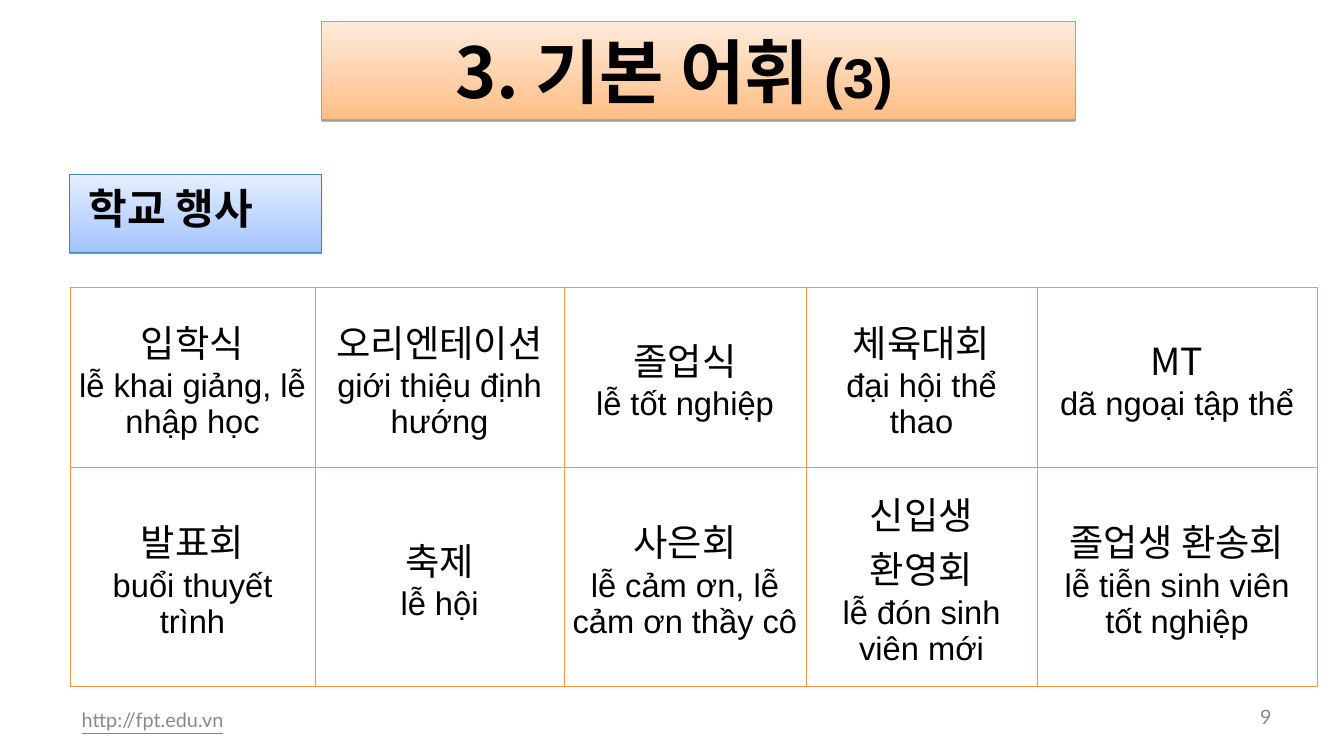
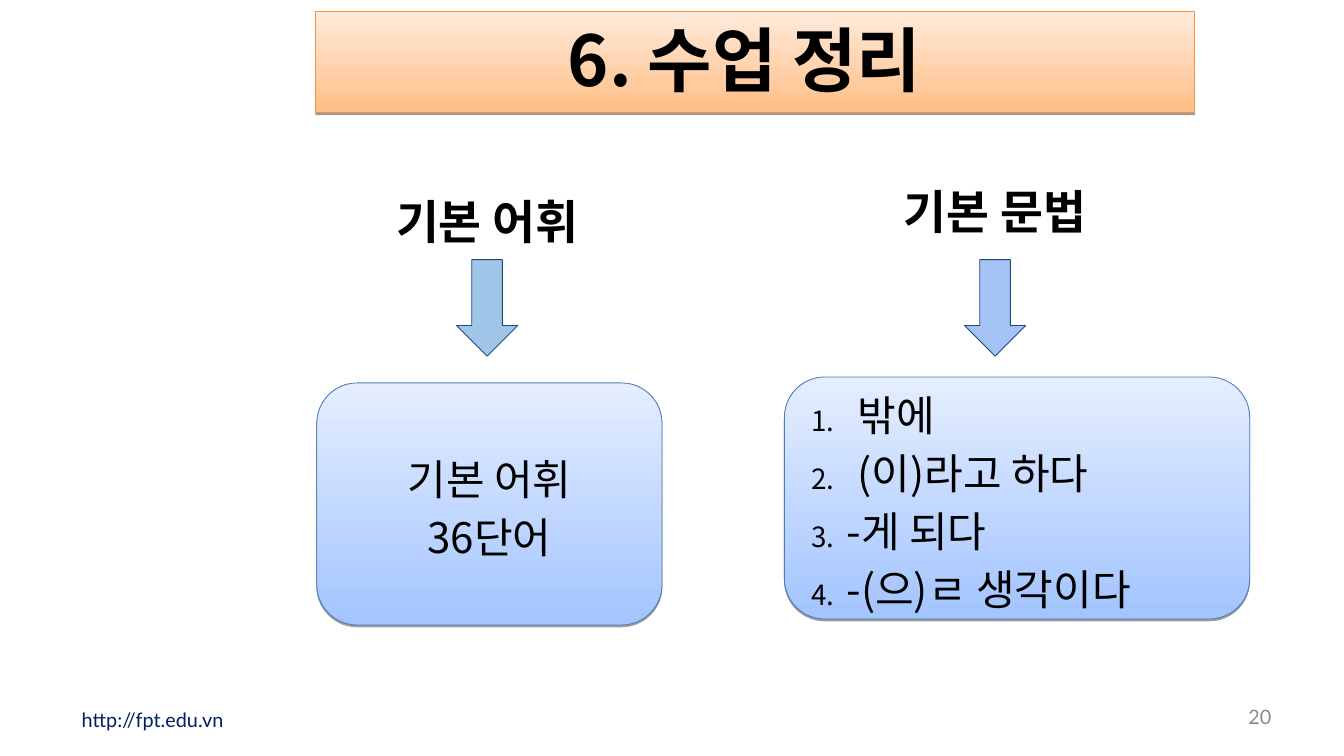
from typing import NamedTuple

from lxml import etree
from pptx import Presentation
from pptx.dml.color import RGBColor
from pptx.enum.shapes import MSO_SHAPE
from pptx.enum.text import MSO_ANCHOR, MSO_AUTO_SIZE, PP_ALIGN
from pptx.oxml import parse_xml
from pptx.oxml.ns import nsdecls, qn
from pptx.util import Cm, Pt

RECT, ROUND_RECT = MSO_SHAPE.RECTANGLE, MSO_SHAPE.ROUNDED_RECTANGLE
DOWN_ARROW = MSO_SHAPE.DOWN_ARROW
TOP, MIDDLE = MSO_ANCHOR.TOP, MSO_ANCHOR.MIDDLE
LEFT, CENTER, RIGHT = PP_ALIGN.LEFT, PP_ALIGN.CENTER, PP_ALIGN.RIGHT

KOREAN, VIETNAMESE, FOOTER_FONT = "Noto Sans CJK KR", "Arial", "Lato"
COLORS = {
    "text": "000000", "muted": "898989", "navy": "002060",
    "orange_deep": "FFBE86", "orange_pale": "FFEBDB", "orange_line": "F69240",
    "blue_deep": "A3C4FF", "blue_pale": "E5EEFF", "blue_line": "4A7EBB",
    "grid": "F79646", "arrow_line": "1F497D",
    "arrow_sky": "9FC5E8", "arrow_blue": "A4C2F4",
}
INSET = 0.25
TITLE_ONLY = 5
BORDER_TAGS = ("a:lnL", "a:lnR", "a:lnT", "a:lnB")

SCHOOL_EVENTS = [
    [("입학식", "lễ khai giảng, lễ nhập học"),
     ("오리엔테이션", "giới thiệu định hướng"),
     ("졸업식", "lễ tốt nghiệp"),
     ("체육대회", "đại hội thể thao"),
     ("MT", "dã ngoại tập thể")],
    [("발표회", "buổi thuyết trình"),
     ("축제", "lễ hội"),
     ("사은회", "lễ cảm ơn, lễ cảm ơn thầy cô"),
     ("신입생 환영회", "lễ đón sinh viên mới"),
     ("졸업생 환송회", "lễ tiễn sinh viên tốt nghiệp")],
]
EVENT_COLUMNS = (7.42, 7.52, 7.32, 6.99, 8.46)
EVENT_ROWS = (5.44, 6.63)

# Each grammar item comes with the extra gap after its number.
GRAMMAR = [("밖에", 0.33), ("(이)라고 하다", 0.33), ("-게 되다", 0), ("-(으)ㄹ 생각이다", 0)]


class Box(NamedTuple):
    """Position and size in centimetres."""
    left: float
    top: float
    width: float
    height: float

    def lengths(self):
        return [Cm(value) for value in self]


def rgb(color):
    return RGBColor.from_string(COLORS[color])


def write(paragraph, text, size, font=KOREAN, color="text", bold=False, align=CENTER):
    paragraph.alignment = align
    paragraph.add_run().text = text
    paragraph.font.size = Pt(size)
    paragraph.font.bold = bold
    paragraph.font.color.rgb = rgb(color)
    paragraph.font.name = font
    defaults = paragraph._p.get_or_add_pPr().find(qn("a:defRPr"))
    etree.SubElement(defaults, qn("a:ea"), typeface=font)


def next_paragraph(frame, index):
    return frame.add_paragraph() if index else frame.paragraphs[0]


def set_frame(frame, anchor, horizontal=INSET, vertical=INSET):
    frame.word_wrap = True
    frame.auto_size = MSO_AUTO_SIZE.NONE
    frame.vertical_anchor = anchor
    frame.margin_left = frame.margin_right = Cm(horizontal)
    frame.margin_top = frame.margin_bottom = Cm(vertical)
    return frame


def add_text_box(slide, box, anchor=TOP, horizontal=INSET, vertical=INSET):
    frame = slide.shapes.add_textbox(*box.lengths()).text_frame
    return set_frame(frame, anchor, horizontal, vertical)


def style_panel(panel, hue):
    """Vertical gradient, thin outline and a hard shadow below."""
    panel.fill.gradient()
    panel.fill.gradient_angle = 90
    for stop, shade in zip(panel.fill.gradient_stops, ("deep", "pale")):
        stop.color.rgb = rgb(f"{hue}_{shade}")
    panel.line.color.rgb = rgb(f"{hue}_line")
    panel.line.width = Pt(0.75)
    panel.shadow.inherit = False
    effects = panel._element.spPr.find(qn("a:effectLst"))
    effects.append(parse_xml(
        f'<a:outerShdw {nsdecls("a")} blurRad="0" dist="{Pt(1.6)}" dir="5400000" '
        'algn="ctr" rotWithShape="0"><a:srgbClr val="000000">'
        '<a:alpha val="38000"/></a:srgbClr></a:outerShdw>'))


def add_blue_panel(slide, box, outline, anchor):
    panel = slide.shapes.add_shape(outline, *box.lengths())
    style_panel(panel, "blue")
    return set_frame(panel.text_frame, anchor)


def add_lesson_slide(deck, title, title_box, anchor, right_inset, number, link_color):
    """Title-only slide with the orange title band and the footer."""
    slide = deck.slides.add_slide(deck.slide_layouts[TITLE_ONLY])
    band = slide.shapes.title
    band.left, band.top, band.width, band.height = title_box.lengths()
    style_panel(band, "orange")
    frame = set_frame(band.text_frame, anchor, vertical=0.13)
    frame.margin_right = Cm(right_inset)
    write(frame.paragraphs[0], title, 60, bold=True)

    link = add_text_box(slide, Box(2.11, 21.16, 12.88, 1.22), MIDDLE, 0.36, 0.18)
    write(link.paragraphs[0], "http://fpt.edu.vn", 17, FOOTER_FONT, link_color, align=LEFT)
    page = add_text_box(slide, Box(36.83, 21.16, 1.98, 1.04), MIDDLE, 0.36, 0.18)
    write(page.paragraphs[0], number, 17, FOOTER_FONT, "muted", align=RIGHT)
    return slide


def draw_borders(cell):
    properties = cell._tc.get_or_add_tcPr()
    for index, tag in enumerate(BORDER_TAGS):
        properties.insert(index, parse_xml(
            f'<{tag} {nsdecls("a")} w="{Pt(0.45)}"><a:solidFill>'
            f'<a:srgbClr val="{COLORS["grid"]}"/></a:solidFill></{tag}>'))


def add_event_table(slide, left, top):
    box = Box(left, top, sum(EVENT_COLUMNS), sum(EVENT_ROWS))
    table = slide.shapes.add_table(
        len(EVENT_ROWS), len(EVENT_COLUMNS), *box.lengths()).table
    table.first_row = table.horz_banding = False
    for column, width in zip(table.columns, EVENT_COLUMNS):
        column.width = Cm(width)
    for row, height, events in zip(table.rows, EVENT_ROWS, SCHOOL_EVENTS):
        row.height = Cm(height)
        for cell, (event, meaning) in zip(row.cells, events):
            cell.fill.background()
            cell.vertical_anchor = MIDDLE
            draw_borders(cell)
            write(cell.text_frame.paragraphs[0], event, 32)
            write(cell.text_frame.add_paragraph(), meaning, 28, VIETNAMESE)


def add_summary_column(slide, region, axis, heading, arrow_drop, arrow_color):
    """Heading, arrow and panel from top to bottom; returns the panel's text frame.

    axis is the distance of the centre line from the region's left edge.
    """
    center = region.left + axis
    heading_width, arrow_width, panel_height = 8.4, 1.85, 7.32
    heading_box = Box(center - heading_width / 2, region.top, heading_width, 2.08)
    topic = add_text_box(slide, heading_box).paragraphs[0]
    topic.line_spacing = 1.15
    write(topic, heading, 40, bold=True)

    arrow_box = Box(center - arrow_width / 2, region.top + arrow_drop, arrow_width, 2.92)
    arrow = slide.shapes.add_shape(DOWN_ARROW, *arrow_box.lengths())
    arrow.shadow.inherit = False
    arrow.fill.solid()
    arrow.fill.fore_color.rgb = rgb(arrow_color)
    arrow.line.color.rgb = rgb("arrow_line")
    arrow.line.width = Pt(0.75)

    panel_top = region.top + region.height - panel_height
    panel_box = Box(region.left, panel_top, region.width, panel_height)
    return add_blue_panel(slide, panel_box, ROUND_RECT, MIDDLE)


def number_item(paragraph, gap):
    properties = paragraph._p.get_or_add_pPr()
    properties.set("marL", str(Cm(1.27 + gap)))
    properties.set("indent", str(-Cm(1.07 + gap)))
    bullet_color = etree.SubElement(properties, qn("a:buClr"))
    etree.SubElement(bullet_color, qn("a:srgbClr"), val=COLORS["text"])
    etree.SubElement(properties, qn("a:buSzPct"), val="66000")
    etree.SubElement(properties, qn("a:buAutoNum"), type="arabicPeriod")


def build_vocabulary_slide(deck):
    slide = add_lesson_slide(deck, "3. 기본 어휘 ", Box(9.73, 0.64, 22.78, 2.97),
                             MIDDLE, 1.7, "9", "muted")
    part = slide.shapes.title.text_frame.paragraphs[0].add_run()
    part.text = "(3)"
    part.font.size = Pt(48)
    part.font.name = VIETNAMESE
    link = slide.shapes[1].text_frame.paragraphs[0]
    link.font.underline = True

    topic = add_blue_panel(slide, Box(2.11, 5.28, 7.62, 2.34), RECT, TOP)
    topic.margin_left = Cm(0.57)
    write(topic.paragraphs[0], "학교 행사", 36, bold=True, align=LEFT)
    add_event_table(slide, 2.11, 8.69)


def build_summary_slide(deck):
    slide = add_lesson_slide(deck, "6. 수업 정리", Box(9.55, 0.36, 26.57, 3.05),
                             TOP, 0.9, "20", "navy")
    words = add_summary_column(slide, Box(9.58, 5.33, 10.44, 13.57), 5.15,
                               "기본 어휘", 2.52, "arrow_sky")
    for index, line in enumerate(("기본 어휘", "36단어")):
        paragraph = next_paragraph(words, index)
        paragraph.line_spacing = 1.15
        write(paragraph, line, 36)

    grammar = add_summary_column(slide, Box(23.72, 5.03, 14.07, 13.69), 6.37,
                                 "기본 문법", 2.82, "arrow_blue")
    for index, (pattern, gap) in enumerate(GRAMMAR):
        paragraph = next_paragraph(grammar, index)
        number_item(paragraph, gap)
        paragraph.line_spacing = 1.15
        write(paragraph, pattern, 36, align=LEFT)


def main():
    deck = Presentation()
    deck.slide_width, deck.slide_height = Cm(40.64), Cm(22.86)
    build_vocabulary_slide(deck)
    build_summary_slide(deck)
    deck.save("out.pptx")


if __name__ == "__main__":
    main()
